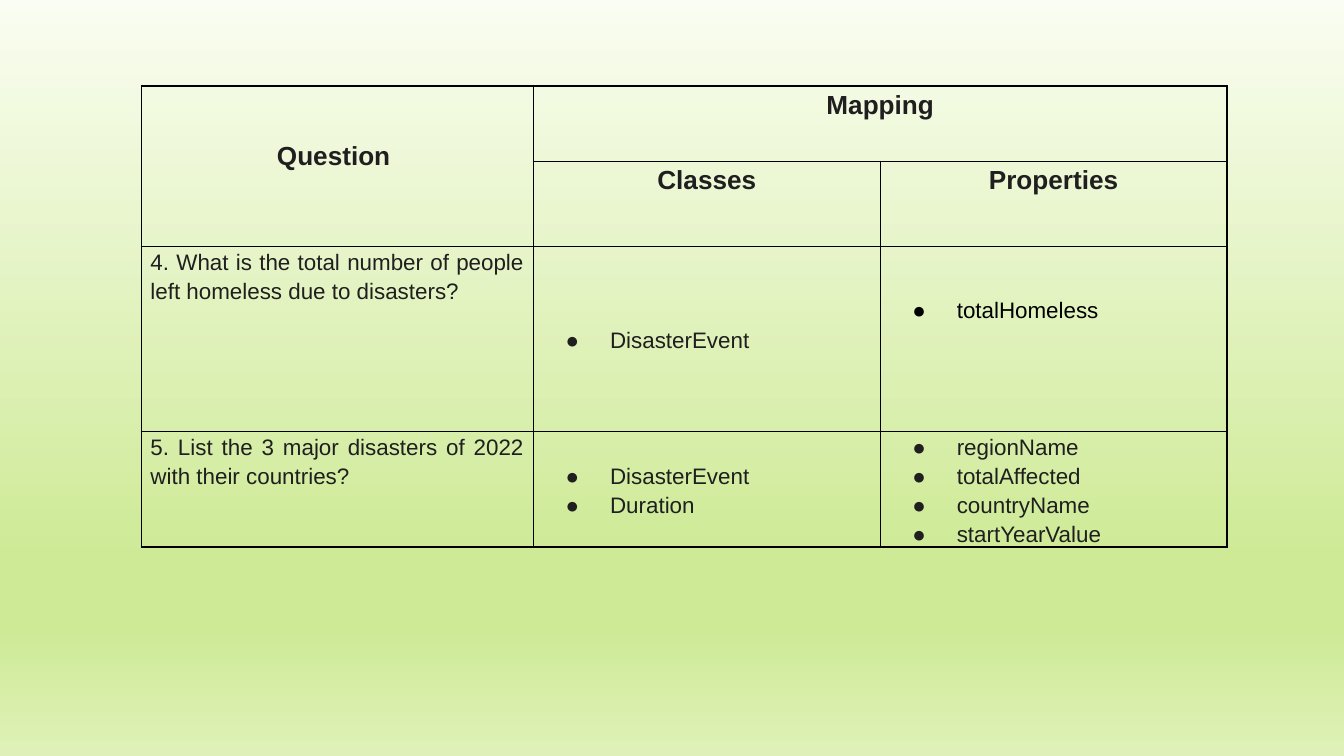
from lxml import etree
from pptx import Presentation
from pptx.dml.color import RGBColor
from pptx.enum.text import MSO_ANCHOR, PP_ALIGN
from pptx.oxml import parse_xml
from pptx.oxml.ns import qn
from pptx.util import Inches, Pt

CENTER, JUSTIFY, LEFT = PP_ALIGN.CENTER, PP_ALIGN.JUSTIFY, PP_ALIGN.LEFT
TOP, MIDDLE = MSO_ANCHOR.TOP, MSO_ANCHOR.MIDDLE
BLACK = RGBColor(0x00, 0x00, 0x00)
INK = RGBColor(0x1F, 0x1F, 0x1F)
PALE = RGBColor(0xFA, 0xFD, 0xF1)
GREEN = RGBColor(0xCE, 0xEA, 0x96)
SOFT_GREEN = RGBColor(0xDF, 0xF1, 0xB8)
NAMESPACE = "http://schemas.openxmlformats.org/drawingml/2006/main"

BACKGROUND_STOPS = [(0, PALE), (74, GREEN), (83, GREEN), (100, SOFT_GREEN)]
COLUMN_SHARES = [2.92, 2.58, 2.58]
ROW_HEIGHTS = [0.56, 0.62, 1.38, 0.82]
HEADINGS = [(0, 0, "Question ", 0.38), (0, 1, "Mapping", 0),
            (1, 1, "Classes", 0), (1, 2, "Properties", 0)]
QUESTIONS = [
    ("4. What is the total number of people left homeless due to disasters?",
     ["DisasterEvent"], ["totalHomeless"], TOP, 0.36, BLACK),
    ("5. List the 3 major disasters of 2022 with their countries?",
     ["DisasterEvent", "Duration"],
     ["regionName", "totalAffected", "countryName", "startYearValue"],
     MIDDLE, 0, INK),
]


def paint_background(page):
    fill = page.background.fill
    fill.gradient()
    stops = "".join(
        f'<a:gs pos="{percent * 1000}"><a:srgbClr val="{color}"/></a:gs>'
        for percent, color in BACKGROUND_STOPS)
    gradient = parse_xml(
        f'<a:gradFill xmlns:a="{NAMESPACE}" rotWithShape="1"><a:gsLst>{stops}</a:gsLst>'
        '<a:lin ang="5400000" scaled="0"/></a:gradFill>')
    old = page.element.find(".//" + qn("a:gradFill"))
    old.getparent().replace(old, gradient)


def format_cell(cell):
    cell.fill.background()
    cell.margin_left = cell.margin_right = Inches(0.07)
    cell.margin_top = cell.margin_bottom = 0
    properties = cell._tc.get_or_add_tcPr()
    for index, side in enumerate(("lnL", "lnR", "lnT", "lnB")):
        properties.insert(index, parse_xml(
            f'<a:{side} xmlns:a="{NAMESPACE}" w="{Pt(0.75)}"><a:solidFill>'
            f'<a:srgbClr val="{BLACK}"/></a:solidFill></a:{side}>'))


def add_bullet(para, color):
    properties = para._p.get_or_add_pPr()
    properties.set("marL", str(Inches(0.5)))
    properties.set("indent", str(Inches(-0.33)))
    bullet_color = etree.SubElement(properties, qn("a:buClr"))
    etree.SubElement(bullet_color, qn("a:srgbClr"), val=str(color))
    etree.SubElement(properties, qn("a:buFont"), typeface="Arial")
    etree.SubElement(properties, qn("a:buChar"), char="●")


def write_cell(cell, lines, size=12, bold=False, align=LEFT, anchor=TOP,
               top=0, color=INK, bulleted=False):
    cell.text_frame.text = "\n".join(lines)
    cell.vertical_anchor = anchor
    cell.margin_top = Inches(top)
    for para in cell.text_frame.paragraphs:
        para.alignment = align
        para.line_spacing = 1.15
        if bulleted:
            add_bullet(para, color)
        for span in para.runs:
            span.font.name = "Arial"
            span.font.size = Pt(size)
            span.font.bold = bold
            span.font.color.rgb = color


def add_mapping_table(page, left, top, width, height):
    table = page.shapes.add_table(
        len(ROW_HEIGHTS), len(COLUMN_SHARES), Inches(left), Inches(top),
        Inches(width), Inches(height)).table
    table.first_row = table.horz_banding = False
    for column, share in zip(table.columns, COLUMN_SHARES):
        column.width = Inches(width * share / sum(COLUMN_SHARES))
    for row, share in zip(table.rows, ROW_HEIGHTS):
        row.height = Inches(height * share / sum(ROW_HEIGHTS))
    for cell in table.iter_cells():
        format_cell(cell)
    table.cell(0, 0).merge(table.cell(1, 0))
    table.cell(0, 1).merge(table.cell(0, 2))

    for row, column, heading, inset in HEADINGS:
        write_cell(table.cell(row, column), [heading], size=14, bold=True,
                   align=CENTER, top=inset)
    for row, (question, classes, names, anchor, inset, color) in enumerate(QUESTIONS, 2):
        write_cell(table.cell(row, 0), [question], align=JUSTIFY)
        write_cell(table.cell(row, 1), classes, anchor=MIDDLE, bulleted=True)
        write_cell(table.cell(row, 2), names, anchor=anchor, top=inset,
                   color=color, bulleted=True)


def main():
    deck = Presentation()
    deck.slide_width, deck.slide_height = Inches(10), Inches(10 * 9 / 16)
    page = deck.slides.add_slide(deck.slide_layouts[6])
    paint_background(page)
    add_mapping_table(page, 1.05, 0.64, sum(COLUMN_SHARES), sum(ROW_HEIGHTS))
    deck.save("out.pptx")


if __name__ == "__main__":
    main()
